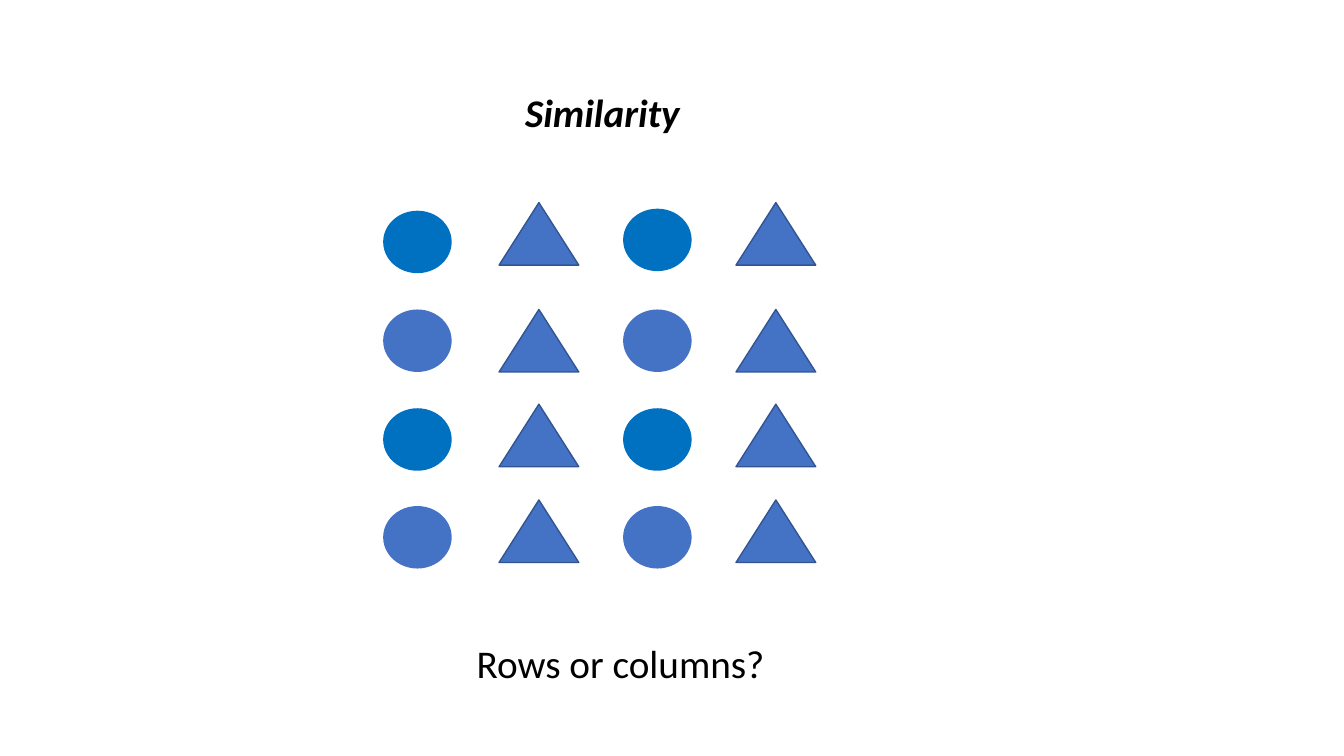
import pptx
import pptx.util
import pptx.dml.color
import pptx.enum.shapes
import pptx.enum.text

Inches = pptx.util.Inches
RGBColor = pptx.dml.color.RGBColor
SHAPE = pptx.enum.shapes.MSO_SHAPE

AZURE = RGBColor(0x00, 0x70, 0xC0)
BLUE = RGBColor(0x44, 0x72, 0xC4)
EDGE = RGBColor(0x32, 0x54, 0x91)
BLACK = RGBColor(0x00, 0x00, 0x00)

deck = pptx.Presentation()
deck.slide_width = Inches(13.33)
deck.slide_height = Inches(7.5)
slide = deck.slides.add_slide(deck.slide_layouts[6])


def add_label(text, left, top, width, strong):
    box = slide.shapes.add_textbox(Inches(left), Inches(top), Inches(width), Inches(0.57))
    frame = box.text_frame
    frame.word_wrap = False
    frame.auto_size = pptx.enum.text.MSO_AUTO_SIZE.SHAPE_TO_FIT_TEXT
    run = frame.paragraphs[0].add_run()
    run.text = text
    run.font.name = "Calibri"
    run.font.size = pptx.util.Pt(28)
    run.font.bold = run.font.italic = strong
    run.font.color.rgb = BLACK


def add_mark(kind, left, top, width, fill, edge=None):
    mark = slide.shapes.add_shape(kind, Inches(left), Inches(top), Inches(width), Inches(0.62))
    mark.shadow.inherit = False
    mark.fill.solid()
    mark.fill.fore_color.rgb = fill
    if edge is None:
        mark.line.fill.background()
    else:
        mark.line.color.rgb = edge
        mark.line.width = pptx.util.Pt(1)


# Title
add_label("Similarity", 5.11, 0.83, 1.75, True)

# Circle columns, colours alternating by row
for left, first in ((3.8, 2.09), (6.18, 2.07)):
    for row, top in enumerate((first, 3.07, 4.05, 5.02)):
        add_mark(SHAPE.OVAL, left, top, 0.68, (AZURE, BLUE)[row % 2])

# Triangle columns
for left in (4.95, 7.3):
    for top in (2.01, 3.07, 4.01, 4.96):
        add_mark(SHAPE.ISOSCELES_TRIANGLE, left, top, 0.79, BLUE, EDGE)

# Question
add_label("Rows or columns?", 4.63, 6.29, 3.09, False)

deck.save("out.pptx")
